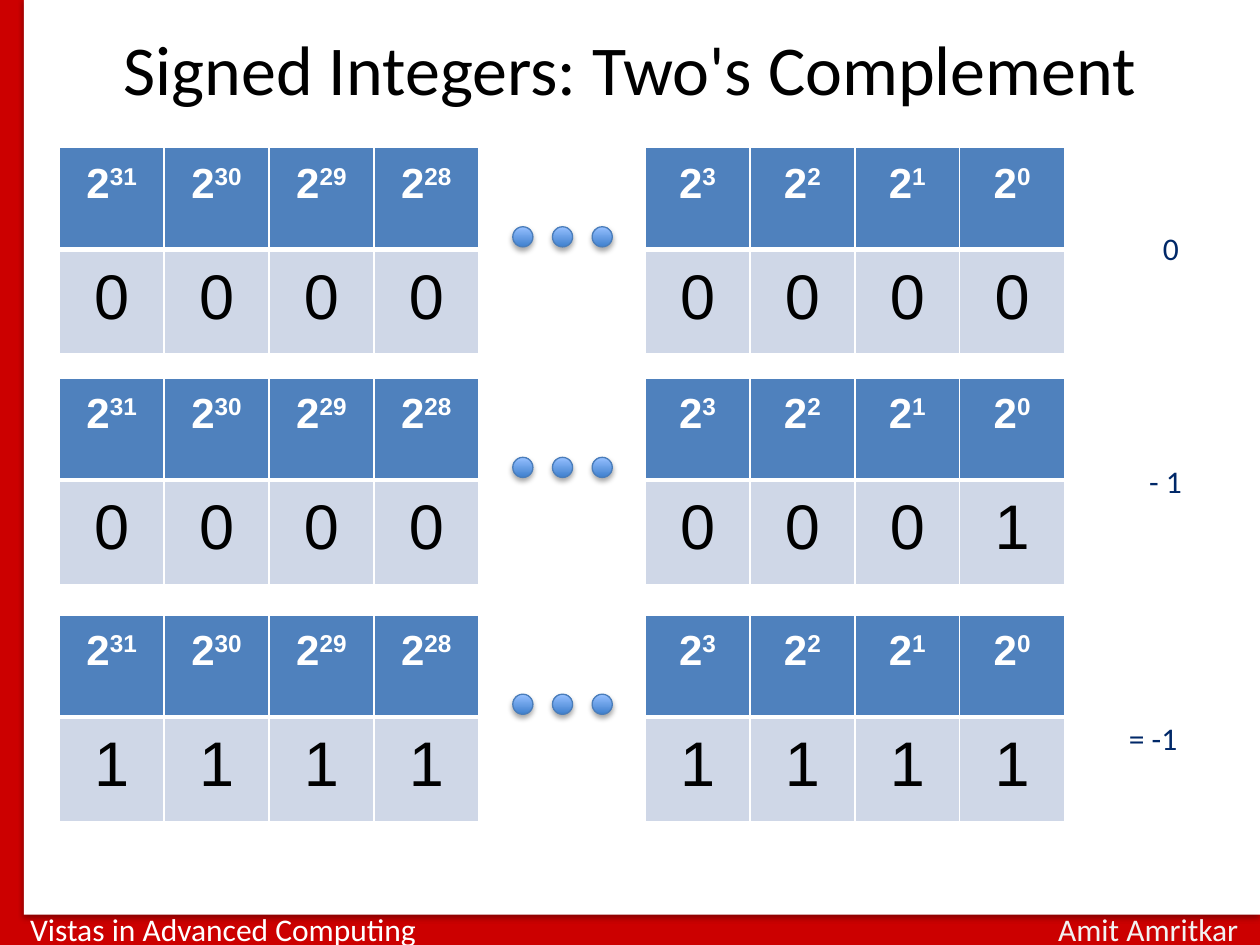
"""Build a slide that shows 0 - 1 = -1 in 32-bit two's complement."""
from lxml import etree
from pptx import Presentation
from pptx import util as u
from pptx.dml.color import RGBColor
from pptx.enum import shapes, text
from pptx.oxml import ns

RED = RGBColor(0xCC, 0x00, 0x00)
WHITE = RGBColor(0xFF, 0xFF, 0xFF)
OFF_WHITE = RGBColor(0xF2, 0xF2, 0xF2)
BLACK = RGBColor(0x00, 0x00, 0x00)
NAVY = RGBColor(0x00, 0x28, 0x68)
HEADER_BLUE = RGBColor(0x4F, 0x81, 0xBD)
CELL_BLUE = RGBColor(0xCF, 0xD7, 0xE7)
DOT_DARK = RGBColor(0x3E, 0x7F, 0xCD)
DOT_LIGHT = RGBColor(0x96, 0xC0, 0xFF)
DOT_LINE = RGBColor(0x4A, 0x7D, 0xBA)

HIGH_POWERS = (31, 30, 29, 28)
LOW_POWERS = (3, 2, 1, 0)
HIGH_LEFT, LOW_LEFT = 0.47, 5.12
NUMBERS = (
    (1.17, "0000", "0000"),
    (3, "0000", "0001"),
    (4.88, "1111", "1111"),
)
RESULTS = (
    ("0", 8.92, 1.72, 0.11),
    ("- 1", 8.92, 3.57, 0),
    ("= -1", 8.76, 5.61, 0),
)


class SlideBuilder:
    """Hold the style and the current slide."""

    text_font = "Calibri"
    table_font = "Arial"
    table_width = 3.33
    row_heights = (0.81, 0.83)
    dot_size = 0.16

    def __init__(self, slide):
        self.slide = slide
        fill = slide.background.fill
        fill.solid()
        fill.fore_color.rgb = RED

    def format_span(self, span, font, size, color, bold=False):
        span.font.name = font
        span.font.size = u.Pt(size)
        span.font.color.rgb = color
        span.font.bold = bold

    def shape(self, kind, left, top, width, height):
        box = self.slide.shapes.add_shape(
            kind, u.Inches(left), u.Inches(top), u.Inches(width), u.Inches(height))
        box.shadow.inherit = False
        effects = box._element.spPr.find(ns.qn("a:effectLst"))
        shadow = etree.SubElement(
            effects, ns.qn("a:outerShdw"), blurRad=str(u.Pt(3.1)), dist=str(u.Pt(1.8)),
            dir="5400000", rotWithShape="0")
        color = etree.SubElement(shadow, ns.qn("a:srgbClr"), val=str(BLACK))
        etree.SubElement(color, ns.qn("a:alpha"), val="35000")
        return box

    def panel(self, left, top, width, height):
        box = self.shape(shapes.MSO_SHAPE.RECTANGLE, left, top, width, height)
        box.fill.solid()
        box.fill.fore_color.rgb = WHITE
        box.line.fill.background()

    def dot(self, left, top):
        box = self.shape(shapes.MSO_SHAPE.OVAL, left, top, self.dot_size, self.dot_size)
        box.fill.gradient()
        box.fill.gradient_angle = 90
        for stop, color, position in zip(
                box.fill.gradient_stops, (DOT_DARK, DOT_LIGHT), (0, 1)):
            stop.color.rgb = color
            stop.position = position
        box.line.color.rgb = DOT_LINE
        box.line.width = u.Pt(0.75)

    def text(self, words, left, top, width, height, color, size=18, inset=0.1, indent=0):
        box = self.slide.shapes.add_textbox(
            u.Inches(left), u.Inches(top), u.Inches(width), u.Inches(height))
        frame = box.text_frame
        frame.word_wrap = True
        frame.margin_left = frame.margin_right = u.Inches(inset)
        frame.margin_top = frame.margin_bottom = u.Inches(inset / 2)
        frame.text = words
        para = frame.paragraphs[0]
        para._p.get_or_add_pPr().set("marL", str(u.Inches(indent)))
        self.format_span(para.runs[0], self.text_font, size, color)
        return para

    def title(self, words):
        para = self.text(words, 0.5, 0.3, 9, 1.25, BLACK, size=40)
        para.alignment = text.PP_ALIGN.CENTER
        para.line_spacing = 0.76

    def borders(self, cell, top, bottom):
        properties = cell._tc.get_or_add_tcPr()
        for side, width in (("L", 1), ("R", 1), ("T", top), ("B", bottom)):
            line = etree.SubElement(properties, ns.qn(f"a:ln{side}"), w=str(u.Pt(width)))
            fill = etree.SubElement(line, ns.qn("a:solidFill"))
            etree.SubElement(fill, ns.qn("a:srgbClr"), val=str(WHITE))

    def cell(self, cell, words, color, top, bottom):
        cell.margin_left = cell.margin_right = u.Inches(0.2)
        cell.margin_top = cell.margin_bottom = u.Inches(0.1)
        self.borders(cell, top, bottom)
        cell.fill.solid()
        cell.fill.fore_color.rgb = color
        cell.text = words
        para = cell.text_frame.paragraphs[0]
        para.alignment = text.PP_ALIGN.CENTER
        return para

    def bit_table(self, left, top, powers, bits):
        frame = self.slide.shapes.add_table(
            2, len(powers), u.Inches(left), u.Inches(top),
            u.Inches(self.table_width), u.Inches(sum(self.row_heights)))
        table = frame.table
        table.first_row = table.horz_banding = False
        for row, height in zip(table.rows, self.row_heights):
            row.height = u.Inches(height)
        for column, (power, bit) in enumerate(zip(powers, bits)):
            table.columns[column].width = u.Inches(self.table_width / len(powers))
            header = self.cell(table.cell(0, column), "2", HEADER_BLUE, 1, 3)
            exponent = header.add_run()
            exponent.text = str(power)
            for span in header.runs:
                self.format_span(span, self.table_font, 24, WHITE, bold=True)
            exponent._r.get_or_add_rPr().set("baseline", "30000")
            digit = self.cell(table.cell(1, column), bit, CELL_BLUE, 3, 1)
            self.format_span(digit.runs[0], self.table_font, 36, BLACK)

    def number(self, top, high_bits, low_bits):
        self.bit_table(LOW_LEFT, top, LOW_POWERS, low_bits)
        self.bit_table(HIGH_LEFT, top, HIGH_POWERS, high_bits)
        for index in range(3):
            self.dot(4.07 + 0.315 * index, top + 0.63)


def main():
    deck = Presentation()
    deck.slide_width, deck.slide_height = u.Inches(10), u.Inches(7.5)
    builder = SlideBuilder(deck.slides.add_slide(deck.slide_layouts[6]))
    builder.panel(0.19, -0.01, 9.81, 7.27)
    builder.text("Vistas in Advanced Computing", 0.14, 7.17, 3.3, 0.4, WHITE)
    builder.text("Amit Amritkar", 8.3, 7.17, 1.7, 0.4, OFF_WHITE)
    for top, high_bits, low_bits in NUMBERS:
        builder.number(top, high_bits, low_bits)
    for words, left, top, indent in RESULTS:
        builder.text(words, left, top, 10 - left, 0.5, NAVY, inset=0.2, indent=indent)
    builder.title("Signed Integers: Two's Complement")
    deck.save("out.pptx")


if __name__ == "__main__":
    main()
